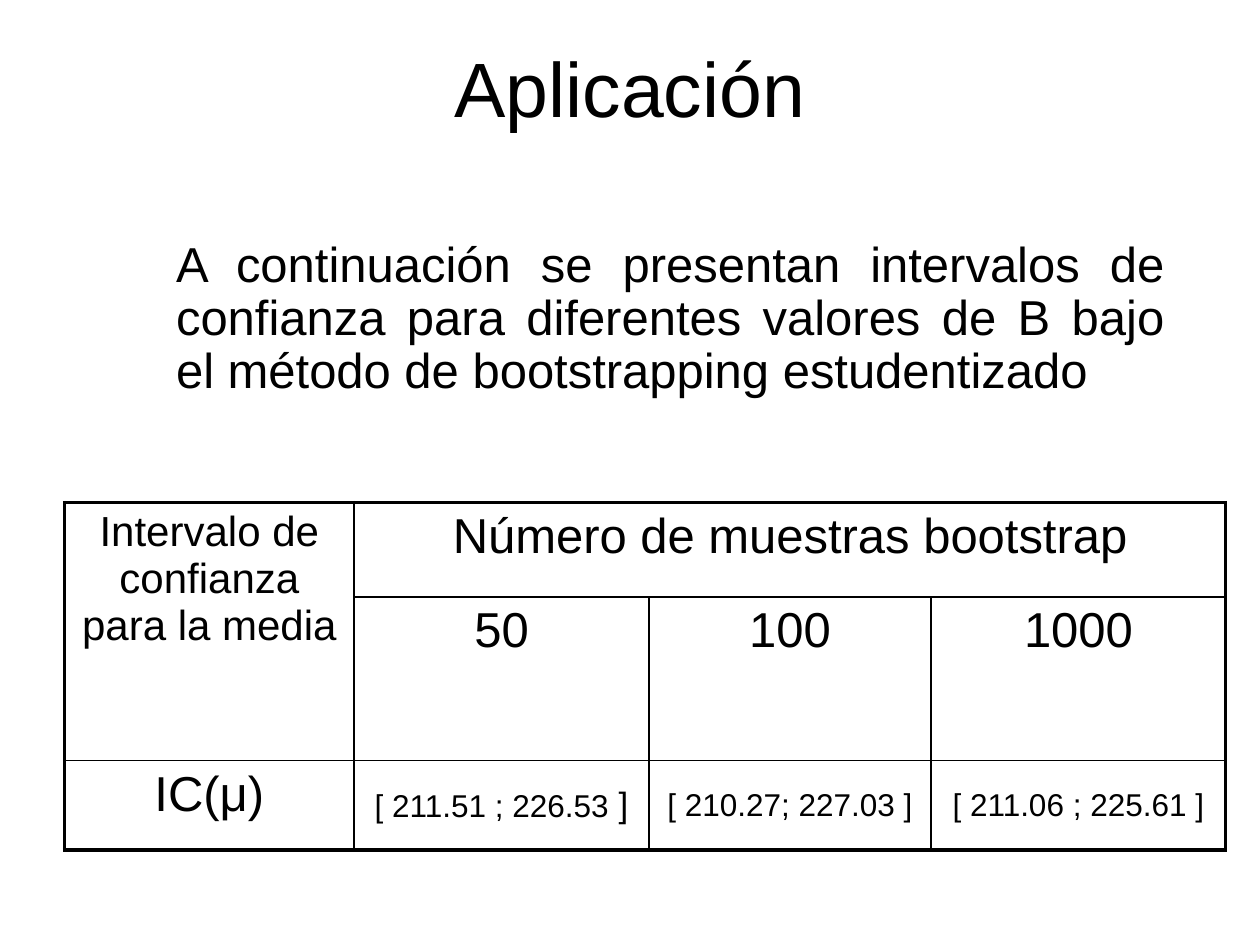
import pptx
import pptx.dml.color
import pptx.enum.text
import pptx.oxml
import pptx.oxml.ns
import pptx.util

Cm = pptx.util.Cm
Pt = pptx.util.Pt
ALIGN = pptx.enum.text.PP_ALIGN
ANCHOR = pptx.enum.text.MSO_ANCHOR
BLACK = pptx.dml.color.RGBColor(0x00, 0x00, 0x00)
FONT = "Arial"
OUTER, INNER = 2.25, 1

COLUMNS = (5.84, 5.94, 5.69, 5.94)
ROWS = (1.9, 3.08, 1.8)
# (row, column): (rows spanned, columns spanned, size, text)
CELLS = {
    (0, 0): (2, 1, 24, "Intervalo de confianza para la media"),
    (0, 1): (1, 3, 28, "Número de muestras bootstrap"),
    (1, 1): (1, 1, 28, "50"),
    (1, 2): (1, 1, 28, "100"),
    (1, 3): (1, 1, 28, "1000"),
    (2, 0): (1, 1, 28, "IC(μ)"),
    (2, 1): (1, 1, 18, "[ 211.51 ; 226.53"),
    (2, 2): (1, 1, 18, "[ 210.27; 227.03 ]"),
    (2, 3): (1, 1, 18, "[ 211.06 ; 225.61 ]"),
}


def style(paragraph, size, align):
    """Set the font and alignment of a paragraph."""
    paragraph.alignment = align
    paragraph.font.name = FONT
    paragraph.font.size = Pt(size)
    paragraph.font.color.rgb = BLACK


def add_text(slide, box, text, size, align, anchor, spacing=None):
    """Place a wrapped paragraph in the box (left, top, width, height)."""
    frame = slide.shapes.add_textbox(*box).text_frame
    frame.word_wrap = True
    frame.vertical_anchor = anchor
    paragraph = frame.paragraphs[0]
    paragraph.text = text
    paragraph.line_spacing = spacing
    style(paragraph, size, align)


def set_borders(cell, widths):
    """Draw the left, right, top and bottom borders, in that order."""
    properties = cell._tc.get_or_add_tcPr()
    for index, (side, width) in enumerate(zip("LRTB", widths)):
        properties.insert(index, pptx.oxml.parse_xml(
            f'<a:ln{side} {pptx.oxml.ns.nsdecls("a")} w="{Pt(width)}">'
            f'<a:solidFill><a:srgbClr val="{BLACK}"/></a:solidFill></a:ln{side}>'))


def add_intervals(slide, left, top):
    """Place the table of confidence intervals at the given corner."""
    intervals = slide.shapes.add_table(
        len(ROWS), len(COLUMNS), left, top, Cm(sum(COLUMNS)), Cm(sum(ROWS))).table
    intervals.first_row = intervals.horz_banding = False
    for column, width in zip(intervals.columns, COLUMNS):
        column.width = Cm(width)
    for row, height in zip(intervals.rows, ROWS):
        row.height = Cm(height)
    for cell in intervals.iter_cells():
        cell.fill.background()

    for (row, column), (down, across, size, text) in CELLS.items():
        cell = intervals.cell(row, column)
        bottom, right = row + down, column + across
        if down * across > 1:
            cell.merge(intervals.cell(bottom - 1, right - 1))
        edges = (column == 0, right == len(COLUMNS), row == 0, bottom == len(ROWS))
        set_borders(cell, [OUTER if edge else INNER for edge in edges])
        cell.text = text
        style(cell.text_frame.paragraphs[0], size, ALIGN.CENTER)
        is_interval = row == 2 and column > 0
        cell.vertical_anchor = ANCHOR.MIDDLE if is_interval else ANCHOR.TOP

    closing = intervals.cell(2, 1).text_frame.paragraphs[0].add_run()
    closing.text = " ]"
    closing.font.size = Pt(20)


def build_application(deck):
    """Add the slide with title, introduction and interval table."""
    slide = deck.slides.add_slide(deck.slide_layouts[6])
    add_text(slide, (Cm(1.27), Cm(0.76), Cm(22.86), Cm(1.98)),
             "Aplicación", 44, ALIGN.CENTER, ANCHOR.MIDDLE)
    add_text(slide, (Cm(3.3), Cm(4.72), Cm(20.42), Cm(3.73)),
             "A continuación se presentan intervalos de confianza para diferentes "
             "valores de B bajo el método de bootstrapping estudentizado",
             28, ALIGN.JUSTIFY, ANCHOR.TOP, 0.9)
    add_intervals(slide, Cm(1.3), Cm(10.13))


presentation = pptx.Presentation()
presentation.slide_width = Cm(25.4)
presentation.slide_height = Cm(19.05)
build_application(presentation)
presentation.save("out.pptx")
